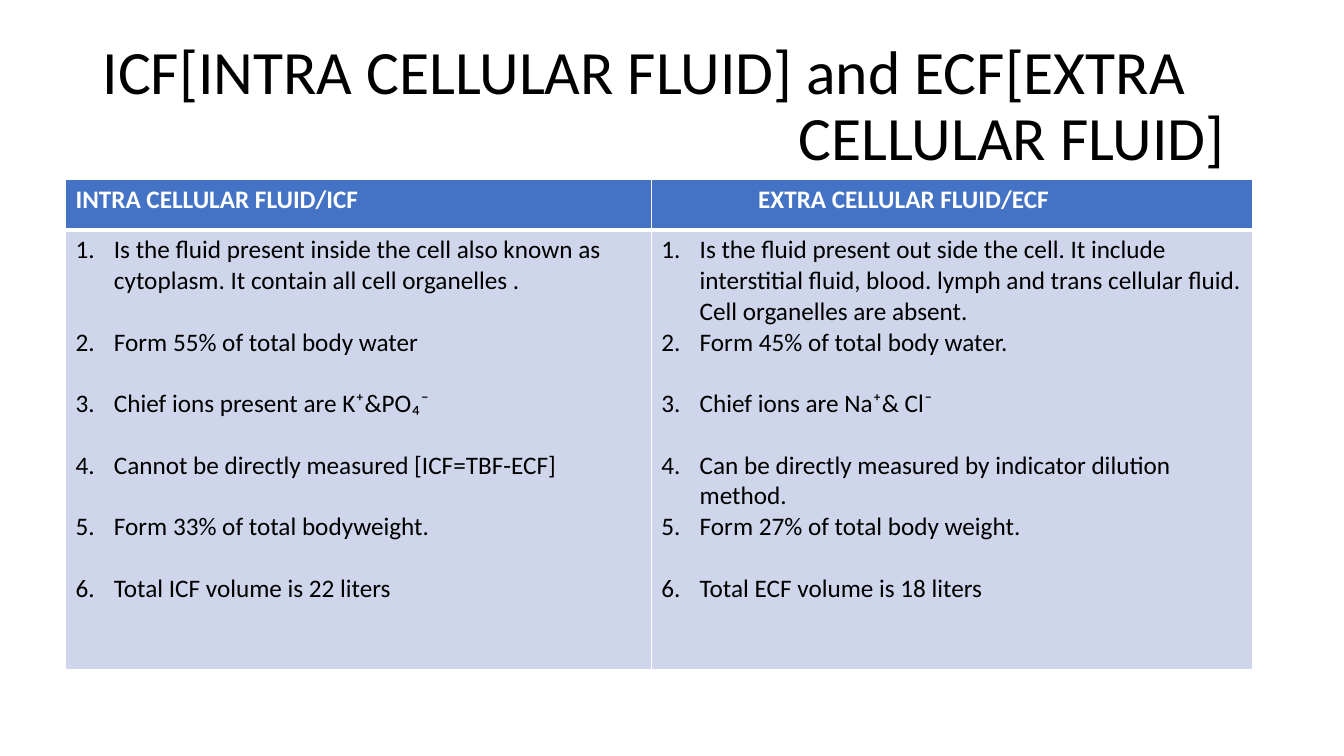
from lxml import etree
from pptx import Presentation
from pptx.dml.color import RGBColor
from pptx.enum.text import MSO_ANCHOR
from pptx.oxml.ns import qn
from pptx.util import Inches, Pt

MIDDLE = MSO_ANCHOR.MIDDLE
BLACK = RGBColor(0x00, 0x00, 0x00)
WHITE = RGBColor(0xFF, 0xFF, 0xFF)
HEADER_BLUE = RGBColor(0x44, 0x72, 0xC4)
BODY_BLUE = RGBColor(0xCF, 0xD5, 0xEA)
FONT = "Calibri"
BLANK_LINE = 22  # points, one line of 18 pt text

# Each line of the title with its left indent in inches
TITLE_LINES = [
    ("ICF[INTRA CELLULAR FLUID] and ECF[EXTRA", 0),
    ("CELLULAR FLUID]", 6.9),
]
# Each column: width, heading, heading indent, then items with the space after
COLUMNS = [
    (5.81, "INTRA CELLULAR FLUID/ICF", 0, [
        ("Is the fluid present inside the cell also known as cytoplasm. "
         "It contain all cell organelles .", BLANK_LINE),
        ("Form 55% of total body water", BLANK_LINE),
        ("Chief ions present are K⁺&PO₄⁻", BLANK_LINE),
        ("Cannot be directly measured [ICF=TBF-ECF]", BLANK_LINE),
        ("Form 33% of total bodyweight.", BLANK_LINE),
        ("Total ICF volume is 22 liters", 0),
    ]),
    (5.96, "EXTRA CELLULAR FLUID/ECF", 0.96, [
        ("Is the fluid present out side the cell. It include interstitial "
         "fluid, blood. lymph and trans cellular fluid. "
         "Cell organelles are absent.", 0),
        ("Form 45% of total body water.", BLANK_LINE),
        ("Chief ions are Na⁺& Cl⁻", BLANK_LINE),
        ("Can be directly measured by indicator dilution method.", 0),
        ("Form 27% of total body weight.", BLANK_LINE),
        ("Total ECF volume is 18 liters", 0),
    ]),
]


def set_font(paragraph, size, color, bold=False):
    font = paragraph.font
    font.name, font.size, font.bold = FONT, Pt(size), bold
    font.color.rgb = color


def set_indent(paragraph, left, first=0):
    properties = paragraph._p.get_or_add_pPr()
    properties.set("marL", str(Inches(left)))
    properties.set("indent", str(Inches(first)))
    return properties


def next_paragraph(frame, index):
    return frame.add_paragraph() if index else frame.paragraphs[0]


def style_cell(cell, fill, bottom_width):
    """Fill the cell and give it white borders, 1 pt except the bottom one."""
    properties = cell._tc.get_or_add_tcPr()
    for side, width in (("L", 1), ("R", 1), ("T", 1), ("B", bottom_width)):
        line = etree.SubElement(properties, qn(f"a:ln{side}"), w=str(Pt(width)))
        solid = etree.SubElement(line, qn("a:solidFill"))
        etree.SubElement(solid, qn("a:srgbClr"), val=str(WHITE))
    cell.fill.solid()
    cell.fill.fore_color.rgb = fill


def add_title(slide, left, top, width, height):
    box = slide.shapes.add_textbox(
        Inches(left), Inches(top), Inches(width), Inches(height))
    frame = box.text_frame
    frame.word_wrap = True
    frame.vertical_anchor = MIDDLE
    for index, (text, indent) in enumerate(TITLE_LINES):
        paragraph = next_paragraph(frame, index)
        set_indent(paragraph, indent)
        paragraph.text = text
        paragraph.line_spacing = 0.9
        set_font(paragraph, 44, BLACK)


def fill_header(cell, heading, indent):
    style_cell(cell, HEADER_BLUE, 3)
    paragraph = cell.text_frame.paragraphs[0]
    set_indent(paragraph, indent)
    paragraph.text = heading
    set_font(paragraph, 18, WHITE, bold=True)


def fill_numbered_list(cell, items):
    style_cell(cell, BODY_BLUE, 1)
    for index, (text, space_after) in enumerate(items):
        paragraph = next_paragraph(cell.text_frame, index)
        properties = set_indent(paragraph, 0.38, -0.38)
        etree.SubElement(properties, qn("a:buFont"), typeface="+mj-lt")
        etree.SubElement(properties, qn("a:buAutoNum"), type="arabicPeriod")
        paragraph.text = text
        paragraph.space_after = Pt(space_after)
        set_font(paragraph, 18, BLACK)


def add_comparison_table(slide, left, top, width, height):
    header_height = 0.5
    table = slide.shapes.add_table(
        2, len(COLUMNS), Inches(left), Inches(top),
        Inches(width), Inches(height)).table
    table.rows[0].height = Inches(header_height)
    table.rows[1].height = Inches(height - header_height)
    for index, (column_width, heading, indent, items) in enumerate(COLUMNS):
        table.columns[index].width = Inches(column_width)
        fill_header(table.cell(0, index), heading, indent)
        fill_numbered_list(table.cell(1, index), items)


def main():
    deck = Presentation()
    deck.slide_width, deck.slide_height = Inches(13.33), Inches(7.5)
    slide = deck.slides.add_slide(deck.slide_layouts[6])
    add_title(slide, 0.92, 0.07, 11.5, 1.99)
    add_comparison_table(slide, 0.65, 1.78, 11.77, 4.86)
    deck.save("out.pptx")


if __name__ == "__main__":
    main()
